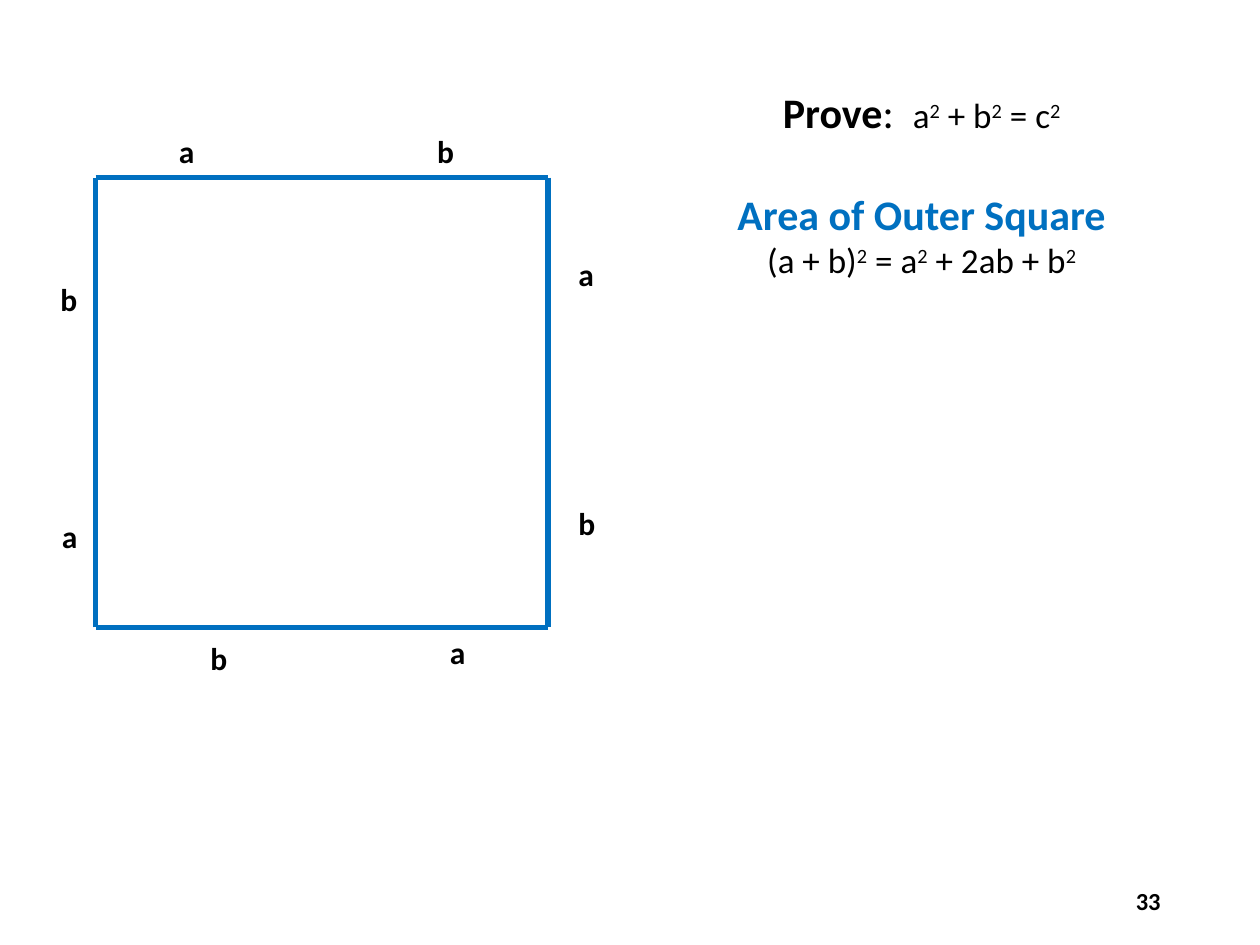
"""Build the slide on the area of the outer square in a proof of the Pythagorean theorem."""
from itertools import pairwise

from lxml import etree
from pptx import Presentation
from pptx import util as u
from pptx.dml.color import RGBColor
from pptx.enum import shapes, text
from pptx.oxml.ns import qn

BLACK = RGBColor(0x00, 0x00, 0x00)
BLUE = RGBColor(0x00, 0x70, 0xC0)
FONT = "Calibri"


def style(font, size, bold=False, color=BLACK):
    font.name = FONT
    font.size = u.Pt(size)
    font.bold = bold
    font.color.rgb = color


def add_formula(para, formula):
    for index, part in enumerate(formula.split("^")):
        if index:
            power = para.add_run()
            power.text = part[0]
            power._r.get_or_add_rPr().set("baseline", "30000")
            part = part[1:]
        if part:
            para.add_run().text = part


deck = Presentation()
deck.slide_width, deck.slide_height = u.Inches(10), u.Inches(7.5)
page = deck.slides.add_slide(deck.slide_layouts[6])

box = page.shapes.add_textbox(u.Inches(5), u.Inches(0.64), u.Inches(4.63), u.Inches(2.05))
frame = box.text_frame
frame.word_wrap = True
frame.auto_size = text.MSO_AUTO_SIZE.SHAPE_TO_FIT_TEXT

goal = frame.paragraphs[0]
style(goal.font, 20)
for word, bold in (("Prove", True), (":  ", False)):
    span = goal.add_run()
    span.text = word
    span.font.size = u.Pt(24)
    span.font.bold = bold
add_formula(goal, "a^2 + b^2 = c^2")

heading = frame.add_paragraph()
heading.text = "Area of Outer Square"
heading.space_before = u.Pt(29.3)
style(heading.font, 24, True, BLUE)

expansion = frame.add_paragraph()
style(expansion.font, 20)
add_formula(expansion, "(a + b)^2 = a^2 + 2ab + b^2")

for para in frame.paragraphs:
    para.alignment = text.PP_ALIGN.CENTER

LEFT, TOP, RIGHT, BOTTOM = 0.76, 1.41, 4.35, 4.98
A = 1.54
outline = [
    (LEFT, TOP), (LEFT + A, TOP), (RIGHT, TOP), (RIGHT, TOP + A),
    (RIGHT, BOTTOM), (RIGHT - A, BOTTOM), (LEFT, BOTTOM), (LEFT, BOTTOM - A),
    (LEFT, TOP),
]
square = page.shapes.add_group_shape()
for start, end in pairwise(outline):
    side = square.shapes.add_connector(
        shapes.MSO_CONNECTOR.STRAIGHT, *(u.Inches(value) for value in start + end))
    side.line.color.rgb = BLUE
    side.line.width = u.Pt(3.13)
    etree.SubElement(side._element.spPr, qn("a:effectLst"))

labels = {
    "a": [(3.57, 5.02), (4.59, 2.02), (1.42, 1.05), (0.49, 4.1)],
    "b": [(4.59, 4), (3.47, 1.05), (0.48, 2.22), (1.67, 5.07)],
}
for letter, places in labels.items():
    for left, top in places:
        label = square.shapes.add_textbox(
            u.Inches(left), u.Inches(top), u.Inches(0.28), u.Inches(0.38))
        frame = label.text_frame
        frame.margin_left = frame.margin_right = frame.margin_top = frame.margin_bottom = 0
        frame.word_wrap = False
        frame.auto_size = text.MSO_AUTO_SIZE.SHAPE_TO_FIT_TEXT
        frame.text = letter
        style(frame.paragraphs[0].font, 18, True)

number = page.shapes.add_textbox(u.Inches(7.06), u.Inches(6.95), u.Inches(2.25), u.Inches(0.4))
frame = number.text_frame
frame.word_wrap = True
frame.vertical_anchor = text.MSO_ANCHOR.MIDDLE
frame.text = "33"
frame.paragraphs[0].alignment = text.PP_ALIGN.RIGHT
style(frame.paragraphs[0].font, 14, True)

deck.save("out.pptx")
